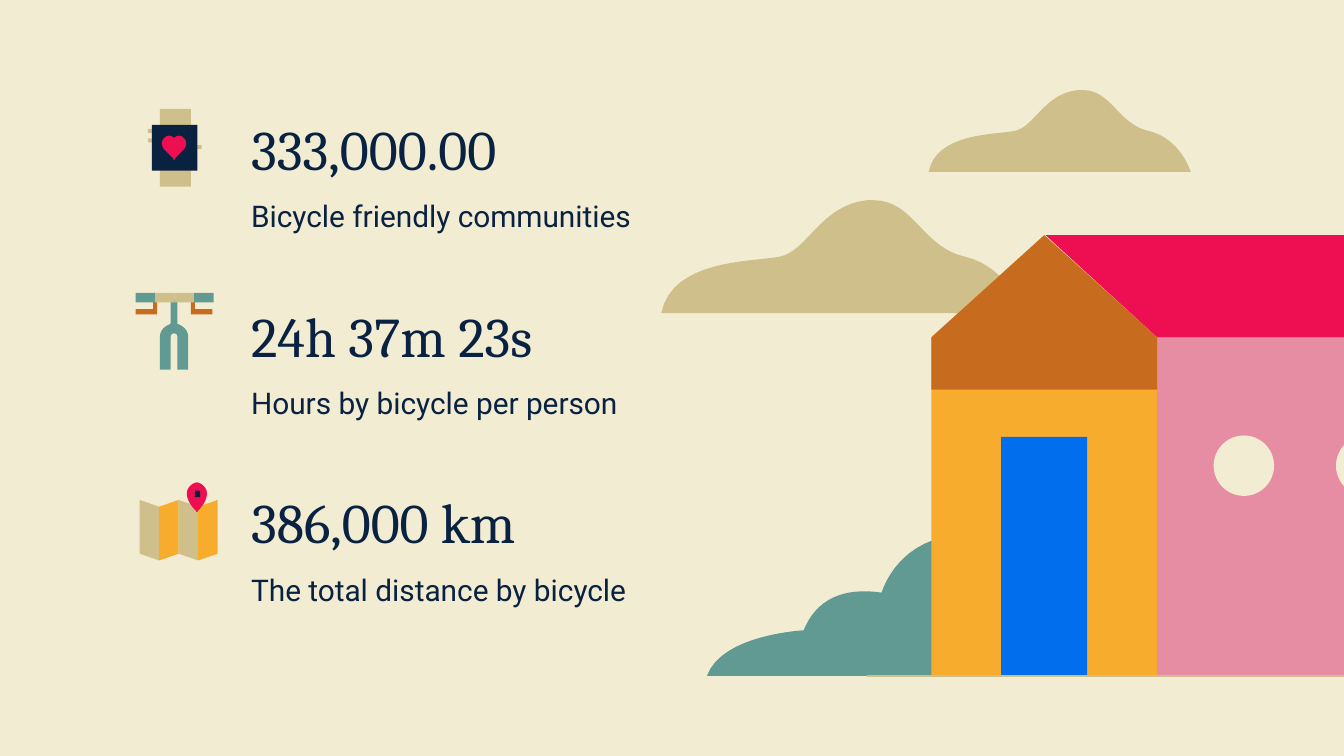
from dataclasses import dataclass
from typing import NamedTuple

from lxml import etree
from pptx import Presentation
from pptx import util as u
from pptx.dml.color import RGBColor
from pptx.enum import shapes, text
from pptx.oxml import ns


@dataclass(frozen=True)
class Theme:
    cream: str = "F2ECD2"
    sand: str = "CFBF8B"
    teal: str = "609A92"
    amber: str = "F7AC2D"
    rust: str = "C76C1F"
    pink: str = "E68CA3"
    red: str = "ED0F51"
    blue: str = "006EED"
    navy: str = "092242"
    title_font: str = "Cambria"
    body_font: str = "Roboto"
    title_size: int = 30
    body_size: int = 16


class Block(NamedTuple):
    color: str
    x: float
    y: float
    w: float
    h: float
    kind: shapes.MSO_SHAPE = shapes.MSO_SHAPE.RECTANGLE


class Outline(NamedTuple):
    color: str
    steps: list[tuple]
    x: float = 0
    y: float = 0
    scale: float = 1


class Stat(NamedTuple):
    value: str
    label: str


T = Theme()
SLIDE_WIDTH = 10
SLIDE_HEIGHT = SLIDE_WIDTH * 9 / 16
CURVE_STEPS = 16
ROW_TOP, ROW_PITCH = 0.76, 1.39
BAR_PITCH = 0.145
SEAM = 0.01

STATS = [
    Stat("333,000.00", "Bicycle friendly communities"),
    Stat("24h 37m 23s", "Hours by bicycle per person"),
    Stat("386,000 km", "The total distance by bicycle"),
]

CLOUD = [
    (1.58, 0), (1.56, 0, 1.55, 0, 1.53, 0), (1.18, 0.04, 1.09, 0.38, 0.88, 0.42),
    (0.67, 0.46, 0.08, 0.44, 0, 0.84), (2.69, 0.84),
    (2.69, 0.84, 2.59, 0.5, 2.26, 0.42), (1.94, 0.35, 1.88, 0, 1.58, 0),
]
BUSH = [
    (7.19, 3.98), (6.68, 3.98, 6.56, 4.41, 6.56, 4.41),
    (6.56, 4.41, 6.5, 4.4, 6.43, 4.4), (6.29, 4.4, 6.08, 4.44, 5.98, 4.69),
    (5.98, 4.69, 5.37, 4.72, 5.26, 5.03), (8.25, 5.03),
    (8.25, 5.03, 8.21, 4.5, 7.73, 4.46), (7.73, 4.46, 7.69, 3.98, 7.19, 3.98),
]
LEVER = [(1.14, 2.21), (1.14, 2.3), (1.01, 2.3), (1.01, 2.34), (1.17, 2.34), (1.17, 2.21)]
FORK = [
    (1.3, 2.22), (1.27, 2.25), (1.27, 2.41), (1.22, 2.43, 1.19, 2.46, 1.19, 2.51),
    (1.19, 2.75), (1.27, 2.75), (1.27, 2.51), (1.27, 2.49, 1.28, 2.48, 1.3, 2.48),
]
HEART = [
    (1.26, 1.01), (1.24, 1.01, 1.23, 1.02, 1.22, 1.03),
    (1.2, 1.05, 1.2, 1.08, 1.22, 1.11), (1.3, 1.19), (1.3, 1.03),
    (1.29, 1.02, 1.27, 1.01, 1.26, 1.01),
]
PIN = [
    (1.47, 3.59), (1.43, 3.59, 1.39, 3.63, 1.39, 3.67),
    (1.39, 3.75, 1.47, 3.81, 1.47, 3.81),
]


def house(eave: float) -> list[tuple]:
    return [(7.77, 1.75), (6.93, 2.51), (6.93, eave), (8.61, eave), (8.61, 2.51)]


def pair(color: str, steps: list[tuple], axis: float) -> list[Outline]:
    mirrored = [tuple(v if i % 2 else 2 * axis - SEAM - v for i, v in enumerate(step))
                for step in steps]
    return [Outline(color, steps), Outline(color, mirrored)]


def map_panel(i: int) -> Outline:
    left, right = 1.04 + i * BAR_PITCH, 1.04 + (i + 1) * BAR_PITCH
    rise, fall = (0, 0.05) if i % 2 == 0 else (0.05, 0)
    corners = [(left, 3.72 + rise), (left, 4.12 + rise), (right, 4.12 + fall), (right, 3.72 + fall)]
    return Outline(T.amber if i % 2 else T.sand, corners)


SCENE = [
    Outline(T.sand, CLOUD, 4.92, 1.49),
    Outline(T.sand, CLOUD, 6.91, 0.67, 0.725),
    Outline(T.teal, BUSH),
    Outline(T.amber, house(5.03)),
    Block(T.pink, 8.61, 2.51, 2.21, 2.52),
    Outline(T.red, [(7.78, 1.75), (8.61, 2.51), (10.82, 2.51), (10, 1.75)]),
    *(Block(T.cream, x, 3.24, 0.45, 0.45, shapes.MSO_SHAPE.OVAL) for x in (9.03, 9.94)),
    Outline(T.rust, house(2.9)),
    Block(T.blue, 7.45, 3.25, 0.64, 1.78),
]
HANDLEBAR = [
    *pair(T.rust, LEVER, 1.3),
    *pair(T.teal, FORK, 1.3),
    *(Block(c, 1.01 + i * BAR_PITCH, 2.18, BAR_PITCH, 0.07)
      for i, c in enumerate((T.teal, T.sand, T.sand, T.teal))),
]
MAP = [
    *(map_panel(i) for i in range(4)),
    *pair(T.red, PIN, 1.47),
    Block(T.navy, 1.45, 3.65, 0.04, 0.05),
]
WATCH = [
    *(Block(T.sand, 1.19, y, 0.23, 0.14) for y in (0.81, 1.25)),
    *(Block(T.sand, x, y, 0.05, 0.03) for x, y in ((1.1, 0.96), (1.45, 1.08), (1.1, 1.03))),
    Block(T.navy, 1.13, 0.93, 0.34, 0.34),
    *pair(T.red, HEART, 1.3),
]


def flatten(steps: list[tuple]) -> list[tuple[float, float]]:
    points = [steps[0]]
    for step in steps[1:]:
        if len(step) == 2:
            points.append(step)
            continue
        (x0, y0), (x1, y1, x2, y2, x3, y3) = points[-1], step
        for i in range(1, CURVE_STEPS + 1):
            t = i / CURVE_STEPS
            a, b, c, d = (1 - t) ** 3, 3 * t * (1 - t) ** 2, 3 * t * t * (1 - t), t ** 3
            points.append((a * x0 + b * x1 + c * x2 + d * x3, a * y0 + b * y1 + c * y2 + d * y3))
    return points


def draw(target, part: Block | Outline) -> None:
    if isinstance(part, Block):
        sp = target.add_shape(part.kind, *map(u.Inches, (part.x, part.y, part.w, part.h)))
    else:
        points = [(u.Inches(part.x + part.scale * x), u.Inches(part.y + part.scale * y))
                  for x, y in flatten(part.steps)]
        builder = target.build_freeform(*points[0])
        builder.add_line_segments(points[1:], close=True)
        sp = builder.convert_to_shape()
    sp.shadow.inherit = False
    sp.fill.solid()
    sp.fill.fore_color.rgb = RGBColor.from_string(part.color)
    sp.line.fill.background()


def add_ground(s) -> None:
    y = u.Inches(5.03)
    line = s.shapes.add_connector(shapes.MSO_CONNECTOR.STRAIGHT, u.Inches(6.45), y, u.Inches(10.98), y)
    line.line.color.rgb = RGBColor.from_string(T.sand)
    line.line.width = u.Pt(0.54)
    etree.SubElement(line._element.spPr, ns.qn("a:effectLst"))


def add_text(s, words: str, y: float, w: float, h: float, font: str, size: int,
             anchor: text.MSO_ANCHOR) -> None:
    tf = s.shapes.add_textbox(*map(u.Inches, (1.77, y, w, h))).text_frame
    tf.word_wrap = True
    tf.vertical_anchor = anchor
    tf.margin_left = tf.margin_right = tf.margin_top = tf.margin_bottom = u.Inches(0.1)
    tf.text = words
    r = tf.paragraphs[0].runs[0]
    r.font.name, r.font.size = font, u.Pt(size)
    r.font.color.rgb = RGBColor.from_string(T.navy)


def main() -> None:
    prs = Presentation()
    prs.slide_width, prs.slide_height = u.Inches(SLIDE_WIDTH), u.Inches(SLIDE_HEIGHT)
    s = prs.slides.add_slide(prs.slide_layouts[6])
    s.background.fill.solid()
    s.background.fill.fore_color.rgb = RGBColor.from_string(T.cream)
    for parts in (SCENE, HANDLEBAR, MAP, WATCH):
        group = s.shapes.add_group_shape()
        for part in parts:
            draw(group.shapes, part)
    add_ground(s)
    for i, stat in enumerate(STATS):
        y = ROW_TOP + i * ROW_PITCH
        add_text(s, stat.value, y, 3.15, 0.69, T.title_font, T.title_size, text.MSO_ANCHOR.BOTTOM)
        add_text(s, stat.label, y + 0.61, 3.61, 0.52, T.body_font, T.body_size, text.MSO_ANCHOR.TOP)
    prs.save("out.pptx")


if __name__ == "__main__":
    main()
